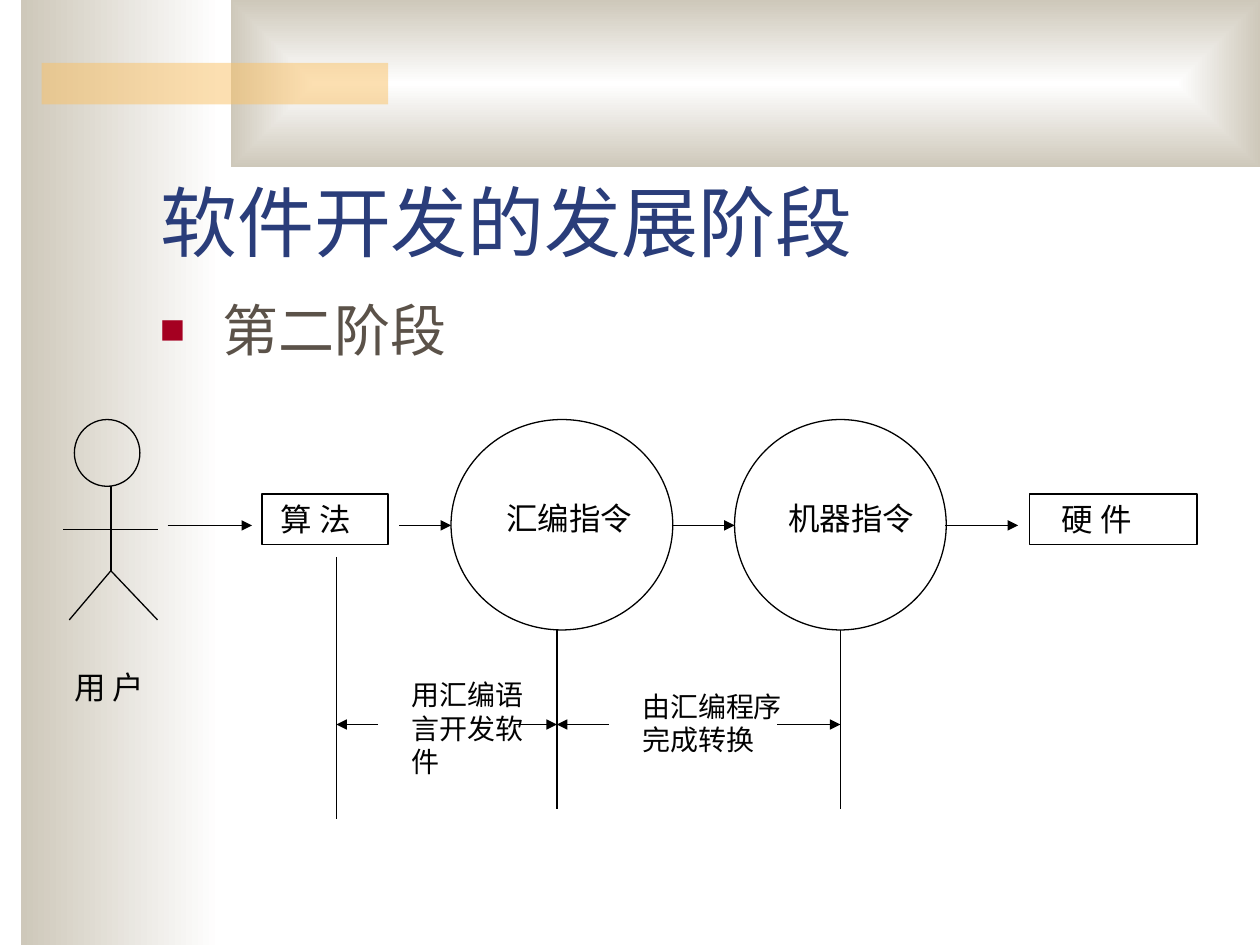
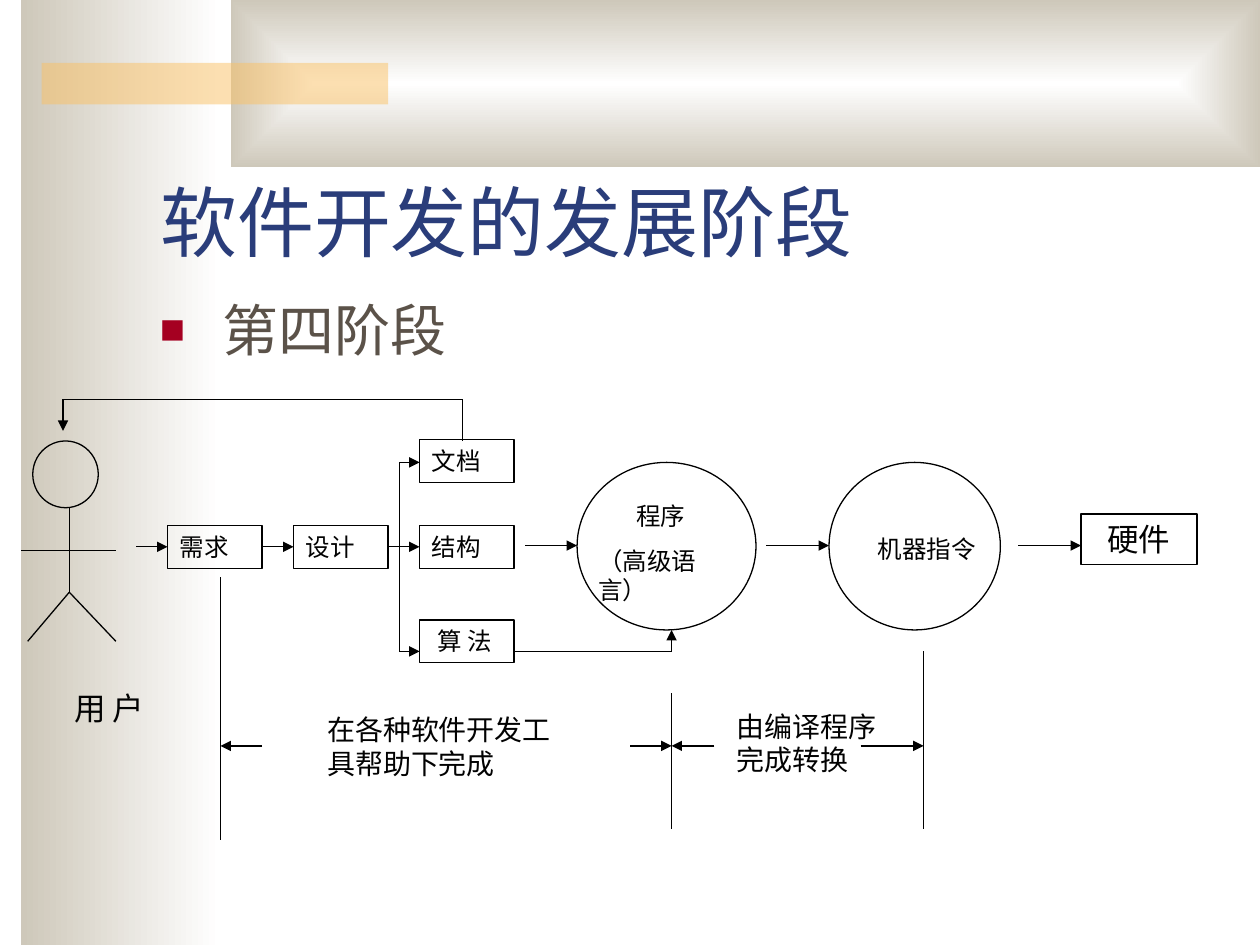
"""Build two slides on the stages of software development."""
from dataclasses import dataclass

from lxml.etree import SubElement
from pptx import Presentation
from pptx.dml.color import RGBColor
from pptx.enum.lang import MSO_LANGUAGE_ID
from pptx.enum.shapes import MSO_CONNECTOR, MSO_SHAPE
from pptx.enum.text import MSO_ANCHOR, MSO_AUTO_SIZE, PP_ALIGN
from pptx.oxml.ns import qn
from pptx.util import Inches, Pt

LEFT, RIGHT = 1, 3


@dataclass(frozen=True)
class Theme:
    font: str = "Times New Roman"
    title: str = "2A3D7A"
    body: str = "5B5249"
    bullet: str = "A50021"
    ink: str = "020202"
    line: str = "000000"
    light: str = "FFFFFF"
    sand: str = "CEC8BA"
    amber: str = "FAC164"
    title_size: int = 44
    body_size: int = 32
    label_size: int = 18
    note_size: int = 16
    small_size: int = 14
    line_width: float = 0.75


THEME = Theme()


def write(frame, text, size=THEME.label_size, color=THEME.ink, before=None, indent=0,
          bullet=False, anchor=MSO_ANCHOR.TOP, auto_size=MSO_AUTO_SIZE.SHAPE_TO_FIT_TEXT):
    frame.word_wrap = True
    frame.auto_size = auto_size
    frame.vertical_anchor = anchor
    paragraph = frame.add_paragraph() if frame.text else frame.paragraphs[0]
    paragraph.alignment = PP_ALIGN.LEFT
    paragraph.space_before = Pt(size * 0.62 if before is None else before)
    run = paragraph.add_run()
    run.text = text
    run.font.size = Pt(size)
    run.font.name = THEME.font
    run.font.color.rgb = RGBColor.from_string(color)
    run.font.language_id = MSO_LANGUAGE_ID.SIMPLIFIED_CHINESE
    properties = paragraph._p.get_or_add_pPr()
    properties.set("marL", str(Inches(indent)))
    if bullet:
        properties.set("indent", str(-Inches(indent)))
        tint = SubElement(properties, qn("a:buClr"))
        SubElement(tint, qn("a:srgbClr"), val=THEME.bullet)
        SubElement(properties, qn("a:buSzPct"), val="75000")
        SubElement(properties, qn("a:buFont"), typeface=THEME.font)
        SubElement(properties, qn("a:buChar"), char="■")


class Deck:
    """Hold the theme, the presentation and the current slide."""

    def __init__(self, theme):
        self.theme = theme
        self.presentation = Presentation()
        self.presentation.slide_width = Inches(10)
        self.presentation.slide_height = Inches(7.5)
        self.layout = self.presentation.slide_layouts[5]
        self.slide = None

    def start(self, title, stage):
        first = self.slide is None
        self.slide = self.presentation.slides.add_slide(self.layout)
        if first:
            self.backdrop()
        heading = self.slide.shapes.title
        heading.left, heading.top = Inches(1.17), Inches(0.92)
        heading.width, heading.height = Inches(8.5), Inches(1.25)
        write(heading.text_frame, title, size=self.theme.title_size, color=self.theme.title,
              before=0, anchor=MSO_ANCHOR.BOTTOM, auto_size=MSO_AUTO_SIZE.NONE)
        self.label((1.17, 2.3, 8.5, 4.5), stage, size=self.theme.body_size,
                   color=self.theme.body, before=8, indent=0.5, bullet=True,
                   auto_size=MSO_AUTO_SIZE.NONE)

    def backdrop(self):
        side = self.gradient((0.17, 0, 1.58, 7.5))
        side.fill.gradient_angle = 180
        top = self.gradient((1.83, 0, 8.17, 1.33))
        gradient = top.element.spPr.find(qn("a:gradFill"))
        gradient.remove(gradient.find(qn("a:lin")))
        frame = SubElement(gradient, qn("a:path"), path="rect")
        SubElement(frame, qn("a:fillToRect"), l="50000", t="50000", r="50000", b="50000")
        accent = self.shape(MSO_SHAPE.RECTANGLE, (0.33, 0.5, 2.75, 0.33))
        accent.line.fill.background()
        accent.fill.solid()
        accent.fill.fore_color.rgb = RGBColor.from_string(self.theme.amber)
        tint = accent.element.spPr.find(qn("a:solidFill")).find(qn("a:srgbClr"))
        SubElement(tint, qn("a:alpha"), val="50000")
        for order, band in enumerate((side, top, accent)):
            band.element.nvSpPr.cNvPr.set("id", str(20 + order))
            self.layout.shapes.element.insert(2 + order, band.element)

    def gradient(self, box):
        band = self.shape(MSO_SHAPE.RECTANGLE, box)
        band.line.fill.background()
        band.fill.gradient()
        for stop, color in zip(band.fill.gradient_stops, (self.theme.light, self.theme.sand)):
            stop.color.rgb = RGBColor.from_string(color)
        return band

    def shape(self, kind, box):
        shape = self.slide.shapes.add_shape(kind, *map(Inches, box))
        shape.shadow.inherit = False
        shape.fill.background()
        self.outline(shape.line)
        return shape

    def outline(self, line):
        line.width = Pt(self.theme.line_width)
        line.color.rgb = RGBColor.from_string(self.theme.line)

    def box(self, box, text, **style):
        shape = self.shape(MSO_SHAPE.RECTANGLE, box)
        write(shape.text_frame, text, **style)
        return shape

    def circle(self, box):
        return self.shape(MSO_SHAPE.OVAL, box)

    def label(self, box, text, **style):
        frame = self.slide.shapes.add_textbox(*map(Inches, box)).text_frame
        write(frame, text, **style)
        return frame

    def line(self, start, end, arrow=False, source=None, target=None):
        connector = self.slide.shapes.add_connector(
            MSO_CONNECTOR.STRAIGHT, *map(Inches, (*start, *end)))
        if source is not None:
            connector.begin_connect(source, RIGHT)
        if target is not None:
            connector.end_connect(target, LEFT)
        self.outline(connector.line)
        properties = connector.element.spPr
        if arrow:
            SubElement(properties.find(qn("a:ln")), qn("a:tailEnd"), type="triangle")
        SubElement(properties, qn("a:effectLst"))

    def arrow(self, start, end, **joins):
        self.line(start, end, arrow=True, **joins)

    def flow(self, y, spans):
        for start, end in spans:
            self.arrow((start, y), (end, y))

    def posts(self, spans):
        for x, top, bottom in spans:
            self.line((x, top), (x, bottom))

    def user(self, left, top, label_top):
        self.circle((left + 0.09, top, 0.52, 0.53))
        spine, hip, foot = left + 0.38, top + 1.2, top + 1.59
        self.line((left, top + 0.87), (left + 0.75, top + 0.87))
        self.line((spine, top + 0.53), (spine, hip))
        for toe in (left + 0.05, left + 0.75):
            self.line((spine, hip), (toe, foot))
        self.label((0.33, label_top, 1.08, 0.4), "用 户", indent=0.16)


def second_stage(deck):
    deck.start("软件开发的发展阶段", "第二阶段")
    deck.user(0.5, 3.33, 5.25)
    deck.box((2.08, 3.92, 1, 0.4), "算 法", indent=0.05)
    deck.box((8.17, 3.92, 1.33, 0.4), "硬 件", indent=0.16)
    deck.circle((3.58, 3.33, 1.76, 1.67))
    deck.label((3.81, 3.91, 1.6, 0.4), "汇编指令", indent=0.11)
    deck.circle((5.83, 3.33, 1.68, 1.67))
    deck.label((6.05, 3.91, 1.53, 0.4), "机器指令", indent=0.11)
    deck.flow(4.17, [(1.33, 2), (3.17, 3.58), (5.33, 5.83), (7.5, 8.08)])
    deck.posts([(2.67, 4.42, 6.5), (4.42, 5, 6.42), (6.67, 5, 6.42)])
    deck.flow(5.75, [(3, 2.67), (4.08, 4.42), (4.83, 4.42), (6.17, 6.67)])
    note = deck.theme.note_size
    deck.label((3.17, 5.33, 1.1, 0.9), "用汇编语言开发软件", size=note)
    deck.label((5, 5.42, 1.42, 0.64), "由汇编程序完成转换", size=note)


def fourth_stage(deck):
    deck.start("软件开发的发展阶段", "第四阶段")
    deck.user(0.17, 3.5, 5.42)
    small, note = deck.theme.small_size, deck.theme.note_size
    axis = 4.34
    needs, design, structure = (
        deck.box((1.33 + step, 4.17, 0.75, 0.34), text, size=small)
        for step, text in enumerate(("需求", "设计", "结构")))
    deck.box((3.33, 3.49, 0.75, 0.34), "文档", size=small)
    deck.box((3.33, 4.92, 0.75, 0.34), "算 法", size=small, indent=0.04)
    deck.box((8.58, 4.08, 0.92, 0.4), "硬件", indent=0.11)
    deck.circle((4.58, 3.67, 1.42, 1.33))
    program = deck.label((4.65, 3.93, 1.29, 0.92), "程序", size=small, indent=0.3)
    write(program, "（高级语言）", size=small)
    deck.circle((6.58, 3.67, 1.36, 1.33))
    deck.label((6.76, 4.19, 1.24, 0.34), "机器指令", size=small, indent=0.11)

    deck.arrow((1.08, axis), (1.33, axis), target=needs)
    deck.arrow((2.08, axis), (2.33, axis), source=needs, target=design)
    deck.arrow((3.08, axis), (3.33, axis), source=design, target=structure)
    deck.flow(4.33, [(4.17, 4.58), (6.08, 6.58), (8.08, 8.58)])
    deck.line((3.17, 3.67), (3.17, 5.17))
    for branch in (3.67, 5.17):
        deck.arrow((3.17, branch), (3.33, branch))
    deck.line((4.08, 5.17), (5.33, 5.17))
    deck.arrow((5.33, 5.17), (5.33, 5))
    deck.line((3.67, 3.5), (3.67, 3.17))
    deck.line((3.67, 3.17), (0.5, 3.17))
    deck.arrow((0.5, 3.17), (0.5, 3.42))

    deck.posts([(1.75, 4.58, 6.67), (5.33, 5.5, 6.58), (7.33, 5.17, 6.58)])
    deck.flow(5.92, [(2.08, 1.75), (5, 5.33), (5.67, 5.33), (6.83, 7.33)])
    deck.label((2.5, 5.61, 2, 0.64), "在各种软件开发工具帮助下完成", size=note)
    deck.label((5.75, 5.58, 1.42, 0.64), "由编译程序完成转换", size=note)


def main():
    deck = Deck(THEME)
    second_stage(deck)
    fourth_stage(deck)
    deck.presentation.save("out.pptx")


if __name__ == "__main__":
    main()
